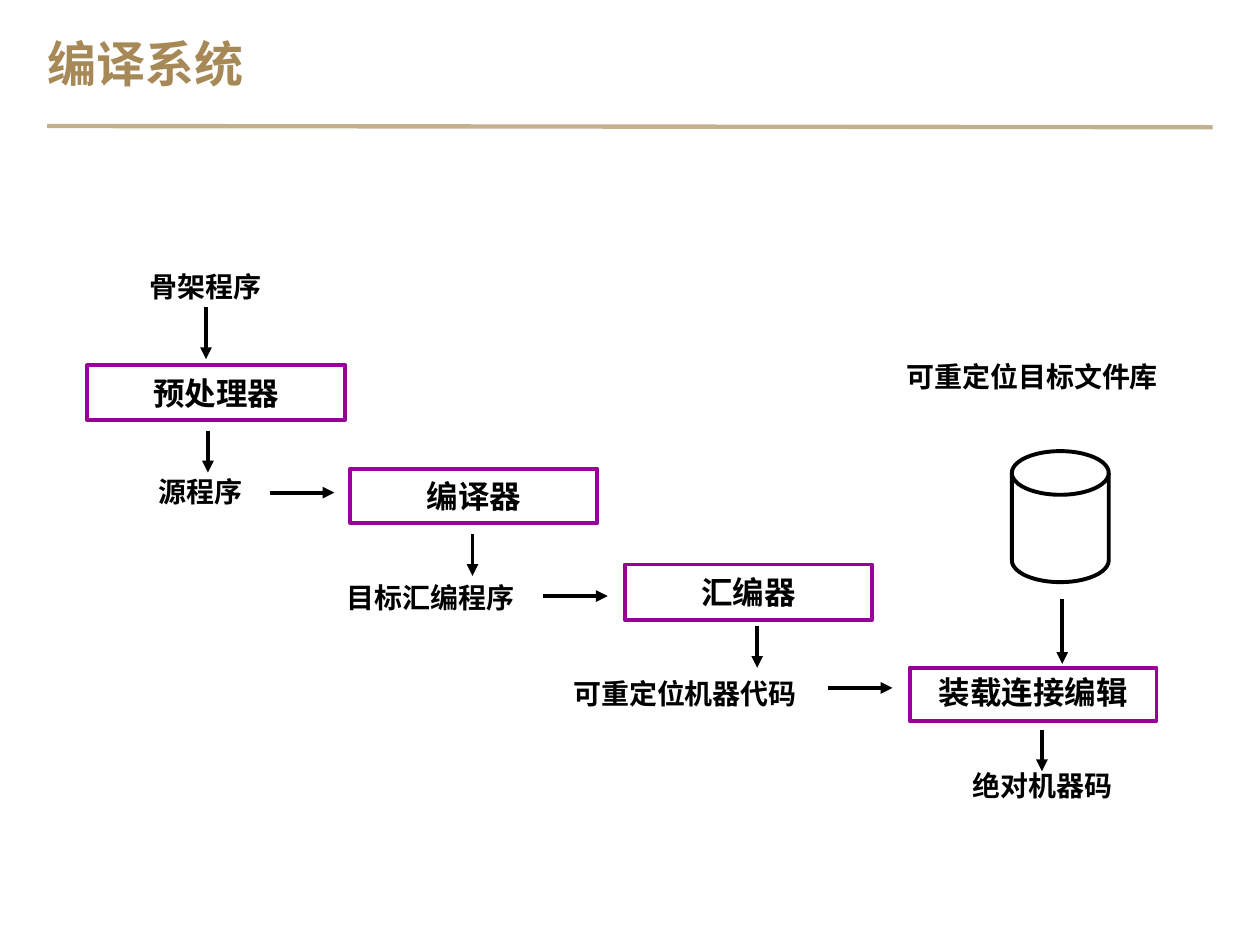
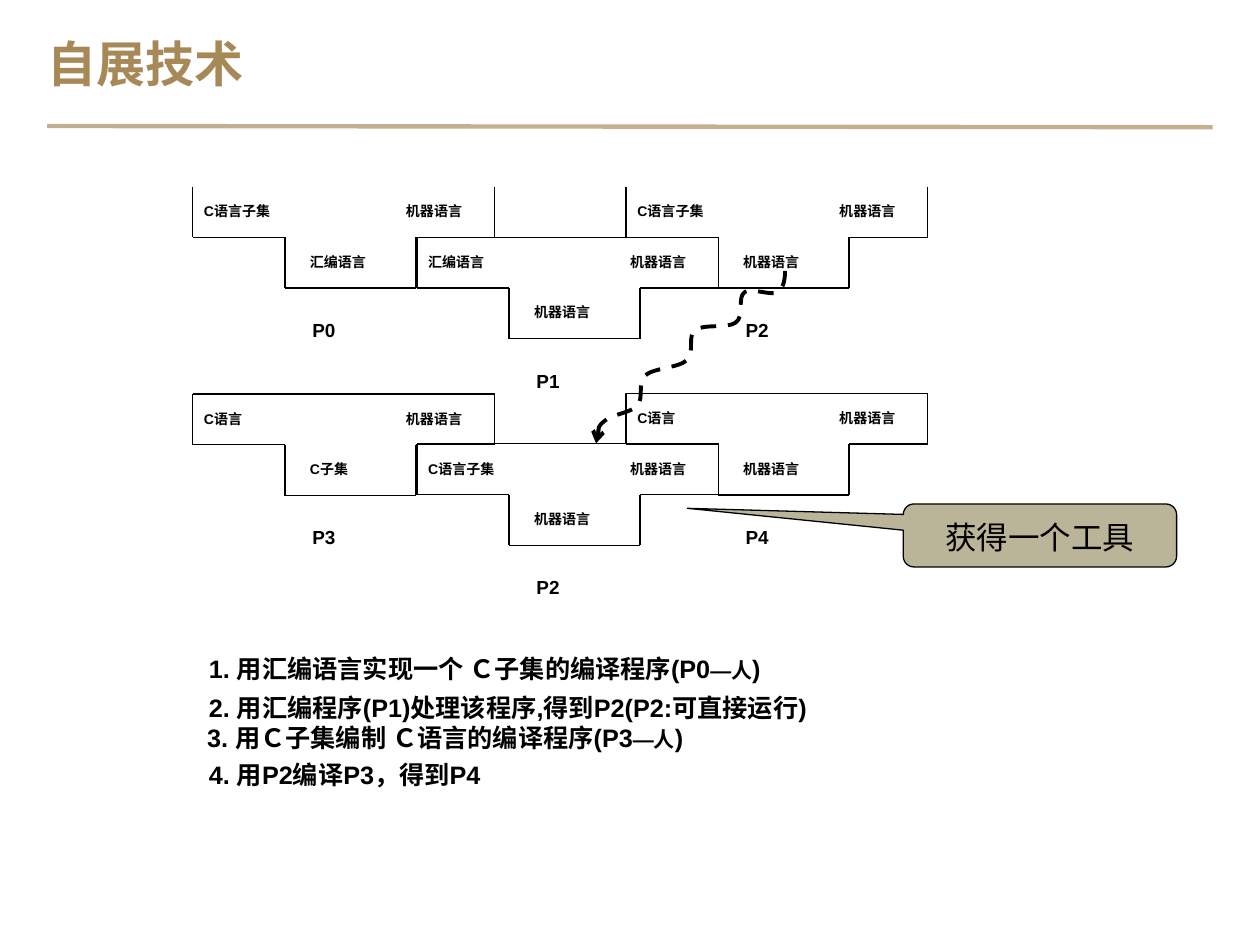
from lxml.etree import SubElement
from pptx import Presentation
from pptx.dml.color import RGBColor
from pptx.enum.dml import MSO_LINE
from pptx.enum.shapes import MSO_CONNECTOR, MSO_SHAPE
from pptx.enum.text import MSO_ANCHOR, PP_ALIGN
from pptx.oxml.ns import qn
from pptx.util import Pt

COLORS = {"title": "A78957", "rule": "C4B08E", "ink": "000000", "paper": "FFFFFF",
          "stage": "990099", "callout": "BAB499"}

TITLE = {"size": Pt(28), "bold": True, "color": "title"}
STAGE = {"size": Pt(18), "bold": True}
NOTE = {"size": Pt(16), "bold": True}
LABEL = {"size": Pt(8), "bold": True}
CAPTION = {"size": Pt(10.8), "bold": True}
STEP = {"size": Pt(14.4), "bold": True}
SMALL_STEP = {"size": Pt(12), "bold": True}
CALLOUT = {"size": Pt(18), "bold": False}

CENTERED = {"alignment": PP_ALIGN.CENTER}
MIDDLE = {"vertical_anchor": MSO_ANCHOR.MIDDLE}


def color(name):
    return RGBColor.from_string(COLORS[name])


def assign(target, values):
    for name, value in values.items():
        setattr(target, name, value)


def write(shape, spans, para_format=None, frame_format=None):
    """Fill a shape with one paragraph made of (text, style) spans."""
    frame = shape.text_frame
    assign(frame, {"word_wrap": True, **(frame_format or {})})
    para = frame.paragraphs[0]
    assign(para, para_format or {})
    for text, style in spans:
        span = para.add_run()
        span.text = text
        font = {"name": "Arial", **style}
        span.font.color.rgb = color(font.pop("color", "ink"))
        assign(span.font, font)


def add_text(page, box, spans, para_format=None, frame_format=None):
    text_box = page.shapes.add_textbox(*map(Pt, box))
    write(text_box, spans, para_format, frame_format)


def add_block(page, kind, box, fill, line, width):
    block = page.shapes.add_shape(kind, *map(Pt, box))
    block.shadow.inherit = False
    block.fill.solid()
    block.fill.fore_color.rgb = color(fill)
    stroke(block, line, width)
    return block


def stroke(shape, name, width):
    shape.line.color.rgb = color(name)
    shape.line.width = Pt(width)


def add_head(shape, kind):
    SubElement(shape.line._get_or_add_ln(), qn("a:tailEnd"), type=kind)


def add_line(page, start, end, name="ink", width=0.75, head=None):
    line = page.shapes.add_connector(MSO_CONNECTOR.STRAIGHT, *map(Pt, (*start, *end)))
    stroke(line, name, width)
    if head:
        add_head(line, head)
    SubElement(line._element.spPr, qn("a:effectLst"))


def add_page(deck, title):
    page = deck.slides.add_slide(deck.slide_layouts[6])
    add_line(page, (27, 72), (693, 72.7), "rule", 2.5)
    margins = {f"margin_{side}": 0 for side in ("left", "top", "right", "bottom")}
    add_text(page, (27, 18, 666, 36), [(title, TITLE)], None, {**MIDDLE, **margins})
    return page


def compile_flow(page, left, top):
    stages = [("预处理器", 13.7, 64.8, 147.6, 31, 1), ("编译器", 164.2, 123.8, 141.1, 31, 1),
              ("汇编器", 321.1, 178.6, 141.1, 31.7, 1), ("装载连接编辑", 483.8, 237.6, 141.1, 30.2, 0.9)]
    for name, x, y, width, height, spacing in stages:
        stage = add_block(page, MSO_SHAPE.RECTANGLE, (left + x, top + y, width, height),
                          "paper", "stage", 2.25)
        write(stage, [(name, STAGE)], {**CENTERED, "line_spacing": spacing}, MIDDLE)

    note_width, note_height = 180, 30
    notes = [("骨架程序", 81.4, 19.8), ("源程序", 78.5, 136.8), ("目标汇编程序", 210, 197.3),
             ("可重定位机器代码", 355.5, 252.4), ("绝对机器码", 559.6, 304.9),
             ("可重定位目标文件库", 554, 70.9)]
    for name, center, middle in notes:
        box = (left + center - note_width / 2, top + middle - note_height / 2,
               note_width, note_height)
        add_text(page, box, [(name, NOTE)], CENTERED, MIDDLE)

    add_block(page, MSO_SHAPE.FLOWCHART_MAGNETIC_DISK, (left + 542.2, top + 113.8, 55.4, 74.9),
              "paper", "ink", 2.25)

    down, right = (0, 23.8), (37, 0)
    arrows = [(81.7, 31.7, (0, 29.5)), (82.8, 102.2, down), (234, 161.3, down),
              (396.7, 213.8, down), (559.4, 272.9, down), (571, 198, (0, 37.4)),
              (118.1, 137.5, right), (274.3, 196.6, right), (437, 249.1, right)]
    for x, y, (run, drop) in arrows:
        start = (left + x, top + y)
        add_line(page, start, (start[0] + run, start[1] + drop), width=2.25, head="triangle")


def t_diagram(page, left, top, caption, source, language, target, hidden=()):
    """Draw a T whose arms name source and target and whose stem names the language."""
    stem_left, stem_right, right = left + 52.6, left + 127.4, left + 172.4
    arm, foot = top + 29, top + 58
    edges = {
        "top": ((left, top), (right, top)),
        "left": ((left, top), (left, arm)),
        "right": ((right, top), (right, arm)),
        "left arm": ((left, arm), (stem_left, arm)),
        "right arm": ((stem_right, arm), (right, arm)),
        "stem left": ((stem_left, arm), (stem_left, foot)),
        "stem right": ((stem_right, arm), (stem_right, foot)),
        "foot": ((stem_left, foot), (stem_right, foot)),
    }
    for name, (start, end) in edges.items():
        if name not in hidden:
            add_line(page, start, end)
    for text, x, y in [(source, -0.7, 5.8), (language, 59.8, 34.6), (target, 114.7, 5.8)]:
        add_text(page, (left + x, top + y, 64.8, 19.4), [(text, LABEL)])
    add_text(page, (left + 61.2, top + 70.6, 33.1, 23), [(caption, CAPTION)], {"line_spacing": 1.1})


def wavy_arrow(page, left, top):
    points = [(108.6, 0.8),
              (108.6, 5.8), (107.8, 10.9), (104.2, 13), (100.6, 15.2), (89.1, 10.2), (85.5, 13),
              (81.2, 15.9), (85.5, 26.7), (80.5, 30.3), (76.2, 33.9), (61.8, 31), (57.4, 34.6),
              (52.4, 38.2), (57.4, 47.6), (52.4, 51.9), (48.1, 56.2), (33.7, 56.2), (28.6, 60.6),
              (24.3, 64.9), (27.9, 73.5), (24.3, 77.8), (20, 82.2), (9.2, 82.9), (5.6, 86.5),
              (1.3, 90.1), (1.3, 95.1), (0.6, 99.4)]
    placed = [(Pt(left + x), Pt(top + y)) for x, y in points]
    builder = page.shapes.build_freeform(*placed[0])
    builder.add_line_segments(placed[1:], close=False)
    wave = builder.convert_to_shape()
    outline = wave._element.find(".//" + qn("a:path"))
    corners = outline.findall(qn("a:lnTo"))
    for first in range(0, len(corners), 3):
        curve = SubElement(outline, qn("a:cubicBezTo"))
        for corner in corners[first:first + 3]:
            curve.append(corner[0])
            outline.remove(corner)
    wave.shadow.inherit = False
    wave.fill.background()
    stroke(wave, "ink", 2.25)
    wave.line.dash_style = MSO_LINE.DASH
    add_head(wave, "arrow")


def tool_callout(page, left, top):
    callout = add_block(page, MSO_SHAPE.ROUNDED_RECTANGULAR_CALLOUT, (left, top, 156.2, 36),
                        "callout", "ink", 0.75)
    for index, value in enumerate((-1.29, -0.43, 0.17)):
        callout.adjustments[index] = value
    write(callout, [("获得一个工具", CALLOUT)], {**CENTERED, "line_spacing": 1.1}, MIDDLE)


def step_list(page, left, top):
    by_hand = [("—人", SMALL_STEP), (")", STEP)]
    steps = [(0, 0, 1.2, [("1. 用汇编语言实现一个 Ｃ子集的编译程序(P0", STEP), *by_hand]),
             (0, 22, 1.2, [("2. 用汇编程序(P1)处理该程序,得到P2(P2:可直接运行)", STEP)]),
             (-1, 41, 1.1, [("3. 用Ｃ子集编制 Ｃ语言的编译程序(P3", STEP), *by_hand]),
             (0, 60.5, 1.2, [("4. 用P2编译P3，得到P4", STEP)])]
    for x, y, spacing, spans in steps:
        add_text(page, (left + x, top + y, 490, 31), spans, {"line_spacing": spacing})


def bootstrapping(page, left, top):
    subset, machine, assembly = "C语言子集", "机器语言", "汇编语言"
    middle, right = left + 128.1, left + 247.6
    second = top + 118.6
    t_diagram(page, left, top, "P0", subset, assembly, machine, hidden=("top",))
    t_diagram(page, middle, top + 29, "P1", assembly, machine, machine, hidden=("right",))
    t_diagram(page, right, top, "P2", subset, machine, machine, hidden=("top",))
    t_diagram(page, left, second, "P3", "C语言", "C子集", machine)
    t_diagram(page, middle, second + 28.4, "P2", subset, machine, machine)
    t_diagram(page, right, second - 0.4, "P4", "C语言", machine, machine)
    wavy_arrow(page, left + 229.8, top + 47.4)


def main():
    deck = Presentation()
    deck.slide_width, deck.slide_height = Pt(720), Pt(540)

    compile_flow(add_page(deck, "编译系统"), 36, 144)

    page = add_page(deck, "自展技术")
    bootstrapping(page, 110.2, 106.6)
    tool_callout(page, 516.2, 288)
    step_list(page, 112.3, 366.5)

    deck.save("out.pptx")


if __name__ == "__main__":
    main()
